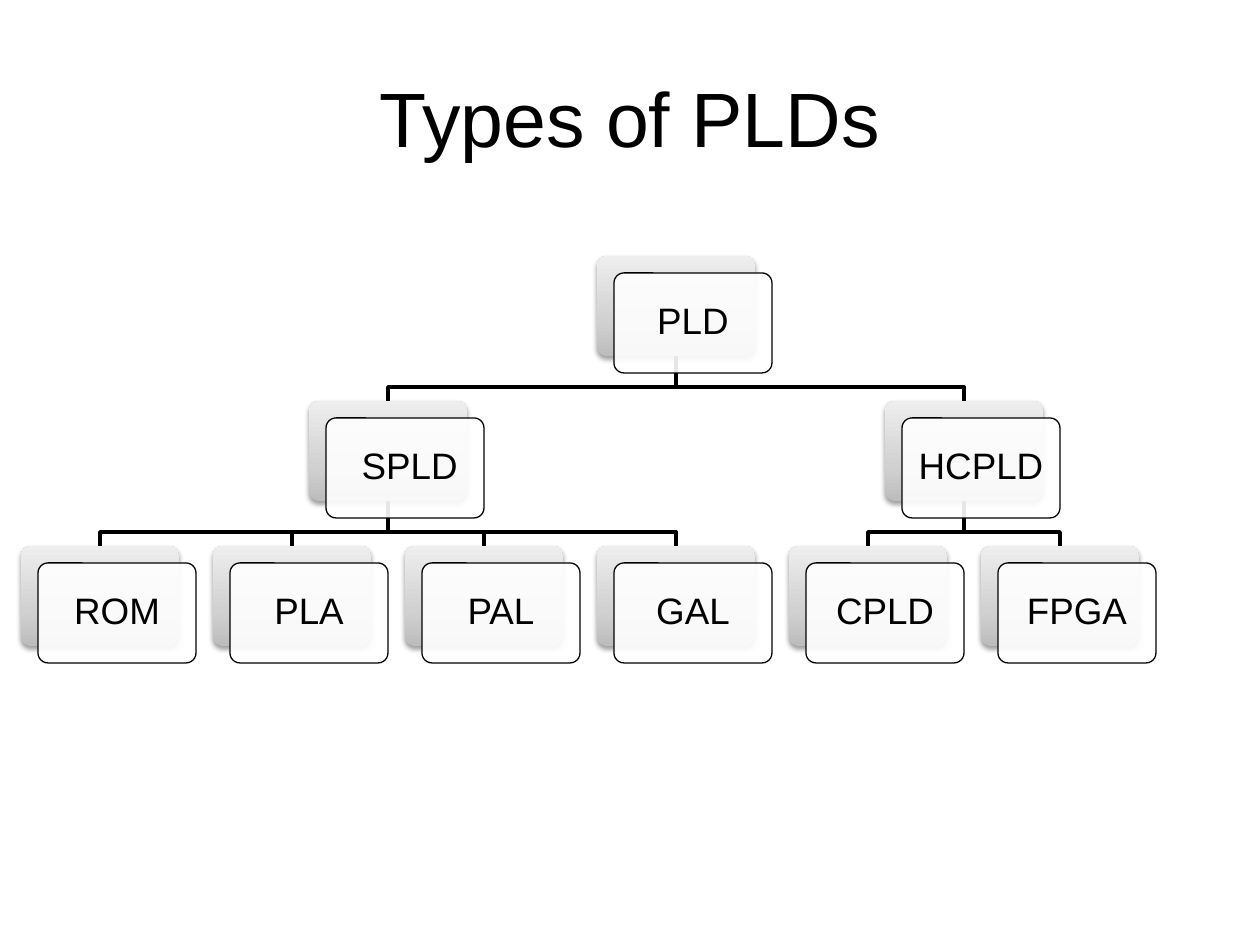
from lxml import etree
from pptx import Presentation
from pptx.dml.color import RGBColor
from pptx.enum.shapes import MSO_SHAPE
from pptx.enum.text import MSO_ANCHOR, PP_ALIGN
from pptx.oxml import parse_xml
from pptx.oxml.ns import nsdecls, qn
from pptx.util import Pt

ROUNDED = MSO_SHAPE.ROUNDED_RECTANGLE
CENTER = PP_ALIGN.CENTER
MIDDLE = MSO_ANCHOR.MIDDLE

PX = 914400 // 126
FONT = "Arial"
BLACK, WHITE = "000000", "FFFFFF"
GRADIENT = ((0, "BDBDBD"), (35, "D1D1D1"), (100, "EEEEEE"))

CARD_WIDTH, CARD_HEIGHT = 158, 100
CARD_OFFSET = 17
TREE_LEFT, TREE_TOP = 21, 256
COLUMN_STEP, ROW_STEP = 192, 145
ELBOW_DROP = 31

# name: (column, row, parent)
NODES = {
    "PLD": (3, 0, None),
    "SPLD ": (1.5, 1, "PLD"),
    "ROM": (0, 2, "SPLD "),
    "PLA": (1, 2, "SPLD "),
    "PAL": (2, 2, "SPLD "),
    "GAL": (3, 2, "SPLD "),
    "HCPLD": (4.5, 1, "PLD"),
    "CPLD": (4, 2, "HCPLD"),
    "FPGA": (5, 2, "HCPLD"),
}


def px(*lengths):
    return [round(length * PX) for length in lengths]


def color(hex_string):
    return RGBColor.from_string(hex_string)


def node_position(name):
    column, row, _ = NODES[name]
    return TREE_LEFT + column * COLUMN_STEP, TREE_TOP + row * ROW_STEP


def format_text(text_frame, text, size):
    text_frame.text = text
    text_frame.word_wrap = True
    text_frame.vertical_anchor = MIDDLE
    paragraph = text_frame.paragraphs[0]
    paragraph.alignment = CENTER
    paragraph.font.name = FONT
    paragraph.font.size = Pt(size)
    paragraph.font.color.rgb = color(BLACK)
    paragraph._p.get_or_add_pPr().set("rtl", "1")
    return paragraph


def add_title(slide, text):
    title = slide.shapes.title
    title.left, title.top, title.width, title.height = px(63, 38, 1134, 158)
    format_text(title.text_frame, text, 44)


def add_elbow(slide, parent, child):
    """Draw the bent line from the parent's lower edge to the child's top."""
    parent_left, parent_top = node_position(parent)
    child_left, child_top = node_position(child)
    start_x = parent_left + CARD_WIDTH / 2
    end_x = child_left + CARD_WIDTH / 2
    start_y = parent_top + CARD_HEIGHT
    bend_y = start_y + ELBOW_DROP
    builder = slide.shapes.build_freeform(*px(start_x, start_y))
    points = ((start_x, bend_y), (end_x, bend_y), (end_x, child_top))
    builder.add_line_segments([px(*point) for point in points], close=False)
    elbow = builder.convert_to_shape()
    elbow.shadow.inherit = False
    elbow.fill.background()
    elbow.line.color.rgb = color(BLACK)
    elbow.line.width = Pt(2)


def add_card(slide, left, top):
    card = slide.shapes.add_shape(ROUNDED, *px(left, top, CARD_WIDTH, CARD_HEIGHT))
    card.adjustments[0] = 0.1
    card.shadow.inherit = False
    return card


def add_alpha(color_element, percent):
    etree.SubElement(color_element, qn("a:alpha"), val=str(percent * 1000))


def add_back_card(slide, left, top):
    """Add the grey gradient card with a soft shadow below it."""
    card = add_card(slide, left, top)
    stops = "".join(
        f'<a:gs pos="{position * 1000}"><a:srgbClr val="{tone}"/></a:gs>'
        for position, tone in GRADIENT
    )
    properties = card._element.spPr
    effects = properties.find(qn("a:effectLst"))
    effects.addprevious(parse_xml(
        f'<a:gradFill {nsdecls("a")}><a:gsLst>{stops}</a:gsLst>'
        '<a:lin ang="16200000" scaled="0"/></a:gradFill>'
    ))
    card.line.fill.background()
    shadow = etree.SubElement(
        effects, qn("a:outerShdw"), blurRad=str(Pt(3.1)), dist=str(Pt(1.6)),
        dir="5400000", rotWithShape="0",
    )
    add_alpha(etree.SubElement(shadow, qn("a:srgbClr"), val=BLACK), 38)


def add_front_card(slide, left, top, text):
    """Add the translucent white card that carries the label."""
    card = add_card(slide, left, top)
    card.fill.solid()
    card.fill.fore_color.rgb = color(WHITE)
    fill = card._element.spPr.find(qn("a:solidFill"))
    add_alpha(fill.find(qn("a:srgbClr")), 90)
    card.line.color.rgb = color(BLACK)
    card.line.width = Pt(0.75)
    frame = card.text_frame
    frame.margin_left, frame.margin_right = px(13, 13)
    frame.margin_top, frame.margin_bottom = px(13, 13)
    paragraph = format_text(frame, text, 21)
    paragraph.line_spacing = 0.9


def add_node(slide, name):
    left, top = node_position(name)
    add_back_card(slide, left, top)
    add_front_card(slide, left + CARD_OFFSET, top + CARD_OFFSET, name)


def main():
    presentation = Presentation()
    presentation.slide_width, presentation.slide_height = px(1260, 945)
    slide = presentation.slides.add_slide(presentation.slide_layouts[5])
    add_title(slide, "Types of PLDs")
    for name, (_, _, parent) in NODES.items():
        if parent:
            add_elbow(slide, parent, name)
    for name in NODES:
        add_node(slide, name)
    presentation.save("out.pptx")


if __name__ == "__main__":
    main()
